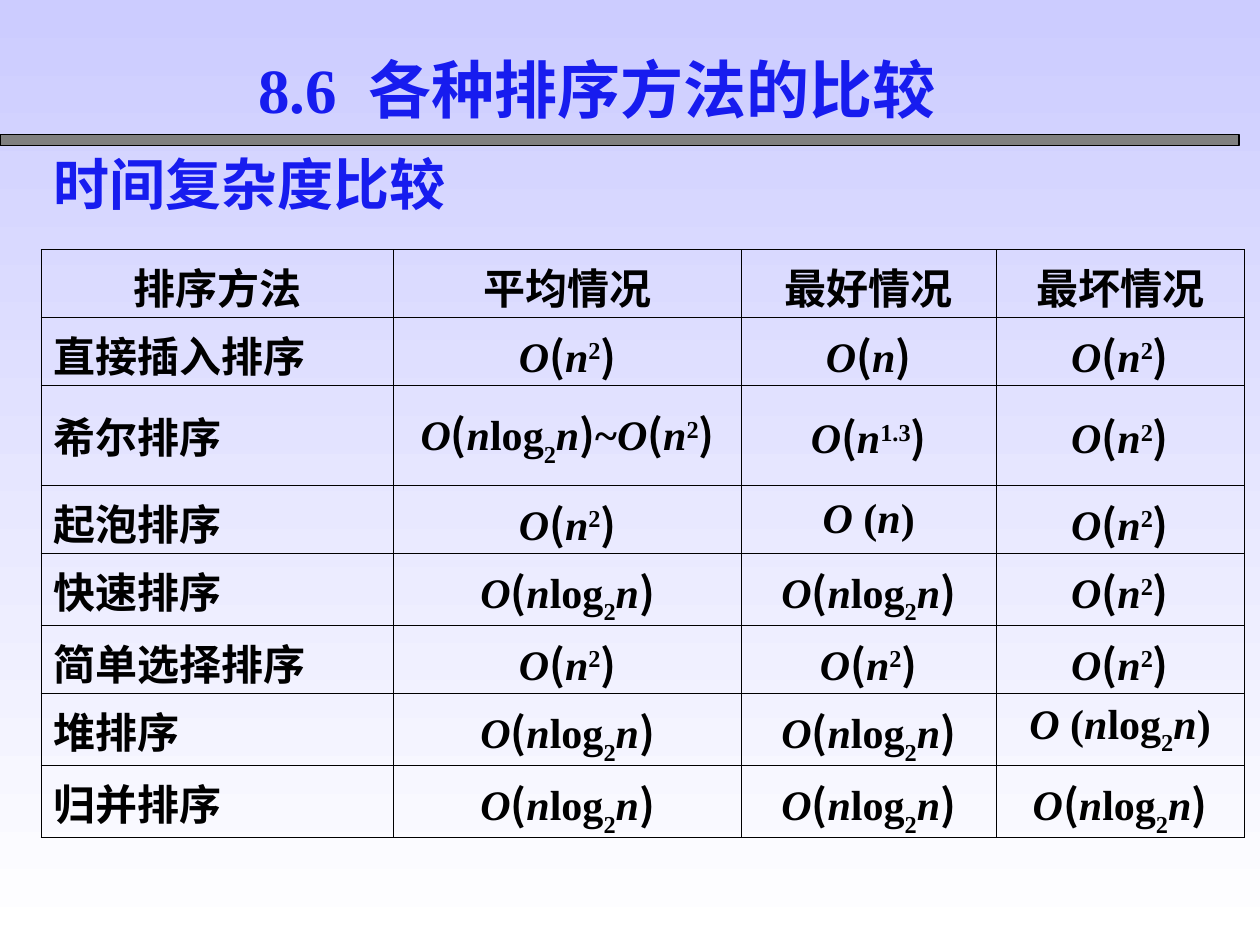
from dataclasses import dataclass

from lxml import etree
from pptx import Presentation
from pptx import util as u
from pptx.dml import color
from pptx.enum import shapes, text
from pptx.oxml import ns

LATIN = "Times New Roman"
CJK = "Noto Sans CJK SC"
BLUE = "171CEF"
BLACK = "000000"


@dataclass(frozen=True)
class Piece:
    wording: str
    italic: bool = False
    face: str = LATIN
    baseline: int = 0


@dataclass(frozen=True)
class Method:
    name: str
    average: tuple[Piece, ...]
    best: tuple[Piece, ...]
    worst: tuple[Piece, ...]
    height: float


def rgb(value: str) -> color.RGBColor:
    return color.RGBColor.from_string(value)


def order(*inner: Piece, big_o: str = "O", face: str = CJK) -> tuple[Piece, ...]:
    return (Piece(big_o, True), Piece("(", face=face), *inner, Piece(")", face=face))


def power(exponent: str) -> tuple[Piece, ...]:
    return order(N, Piece(exponent, baseline=30))


N = Piece("n", True)
N_LOG_N = (N, Piece("log"), Piece("2", baseline=-30), N)
LINEAR = order(N)
SQUARE = power("2")
LOG = order(*N_LOG_N)
SPACED_LINEAR = order(N, big_o="O ", face=LATIN)
SPACED_LOG = order(*N_LOG_N, big_o="O ", face=LATIN)

HEADINGS = ("排序方法", "平均情况", "最好情况", "最坏情况")
HEADING_HEIGHT = 38.9
COLUMN_WIDTHS = (201.6, 198.7, 145.4, 141.9)
METHODS = (
    Method("直接插入排序", SQUARE, LINEAR, SQUARE, 38.9),
    Method("希尔排序", LOG + (Piece("~"),) + SQUARE, power("1.3"), SQUARE, 56.9),
    Method("起泡排序", SQUARE, SPACED_LINEAR, SQUARE, 38.9),
    Method("快速排序", LOG, LOG, SQUARE, 41),
    Method("简单选择排序", SQUARE, SQUARE, SQUARE, 38.9),
    Method("堆排序", LOG, LOG, SPACED_LOG, 41),
    Method("归并排序", LOG, LOG, LOG, 41),
)


def style_font(font, size: float, ink: str, face: str = LATIN) -> None:
    font.name = face
    font.size = u.Pt(size)
    font.bold = True
    font.color.rgb = rgb(ink)


def write_heading(box, wording: str, size: float) -> None:
    frame = box.text_frame
    frame.text = wording
    frame.word_wrap = False
    frame.auto_size = text.MSO_AUTO_SIZE.SHAPE_TO_FIT_TEXT
    frame.vertical_anchor = text.MSO_ANCHOR.TOP
    paragraph = frame.paragraphs[0]
    paragraph.alignment = text.PP_ALIGN.LEFT
    style_font(paragraph.runs[0].font, size, BLUE)


def add_borders(cell) -> None:
    properties = cell._tc.get_or_add_tcPr()
    for side in ("a:lnL", "a:lnR", "a:lnT", "a:lnB"):
        line = etree.SubElement(properties, ns.qn(side), w=str(int(u.Pt(0.45))))
        fill = etree.SubElement(line, ns.qn("a:solidFill"))
        etree.SubElement(fill, ns.qn("a:srgbClr"), val=BLACK)


def write_cell(cell, pieces: tuple[Piece, ...], centred: bool) -> None:
    add_borders(cell)
    cell.fill.background()
    cell.vertical_anchor = text.MSO_ANCHOR.MIDDLE
    paragraph = cell.text_frame.paragraphs[0]
    paragraph.alignment = text.PP_ALIGN.CENTER if centred else text.PP_ALIGN.LEFT
    for piece in pieces:
        run = paragraph.add_run()
        run.text = piece.wording
        style_font(run.font, 24, BLACK, piece.face)
        run.font.italic = piece.italic
        if piece.baseline:
            run._r.get_or_add_rPr().set("baseline", str(piece.baseline * 1000))


def add_comparison(slide) -> None:
    heights = (HEADING_HEIGHT, *(method.height for method in METHODS))
    comparison = slide.shapes.add_table(
        len(heights), len(COLUMN_WIDTHS), u.Pt(23.4), u.Pt(142.6),
        u.Pt(sum(COLUMN_WIDTHS)), u.Pt(sum(heights)),
    ).table
    comparison.first_row = False
    comparison.horz_banding = False
    for column, width in zip(comparison.columns, COLUMN_WIDTHS):
        column.width = u.Pt(width)
    for row, height in zip(comparison.rows, heights):
        row.height = u.Pt(height)
    for index, heading in enumerate(HEADINGS):
        write_cell(comparison.cell(0, index), (Piece(heading),), True)
    for row, method in enumerate(METHODS, 1):
        entries = ((Piece(method.name),), method.average, method.best, method.worst)
        for index, pieces in enumerate(entries):
            write_cell(comparison.cell(row, index), pieces, index > 0)


def add_rule(slide) -> None:
    rule = slide.shapes.add_shape(
        shapes.MSO_SHAPE.RECTANGLE, 0, u.Pt(77), u.Pt(708), u.Pt(6)
    )
    rule.shadow.inherit = False
    rule.fill.solid()
    rule.fill.fore_color.rgb = rgb("808080")
    rule.line.color.rgb = rgb(BLACK)
    rule.line.width = u.Pt(0.75)


def paint_background(slide) -> None:
    backdrop = slide.background.fill
    backdrop.gradient()
    backdrop.gradient_angle = 270
    for stop, position, ink in zip(backdrop.gradient_stops, (0, 1), ("CCCCFF", "FFFFFF")):
        stop.position = position
        stop.color.rgb = rgb(ink)


def main() -> None:
    deck = Presentation()
    deck.slide_width = u.Pt(720)
    deck.slide_height = u.Pt(540)
    slide = deck.slides.add_slide(deck.slide_layouts[5])
    paint_background(slide)
    add_rule(slide)

    title = slide.shapes.title
    title.left, title.top = u.Pt(140.4), u.Pt(25.2)
    title.width, title.height = u.Pt(414.7), u.Pt(50.4)
    write_heading(title, "8.6  各种排序方法的比较", 36)

    subtitle = slide.shapes.add_textbox(u.Pt(23.4), u.Pt(82.1), u.Pt(298), u.Pt(46.1))
    write_heading(subtitle, "时间复杂度比较", 32)
    add_comparison(slide)
    deck.save("out.pptx")


if __name__ == "__main__":
    main()
